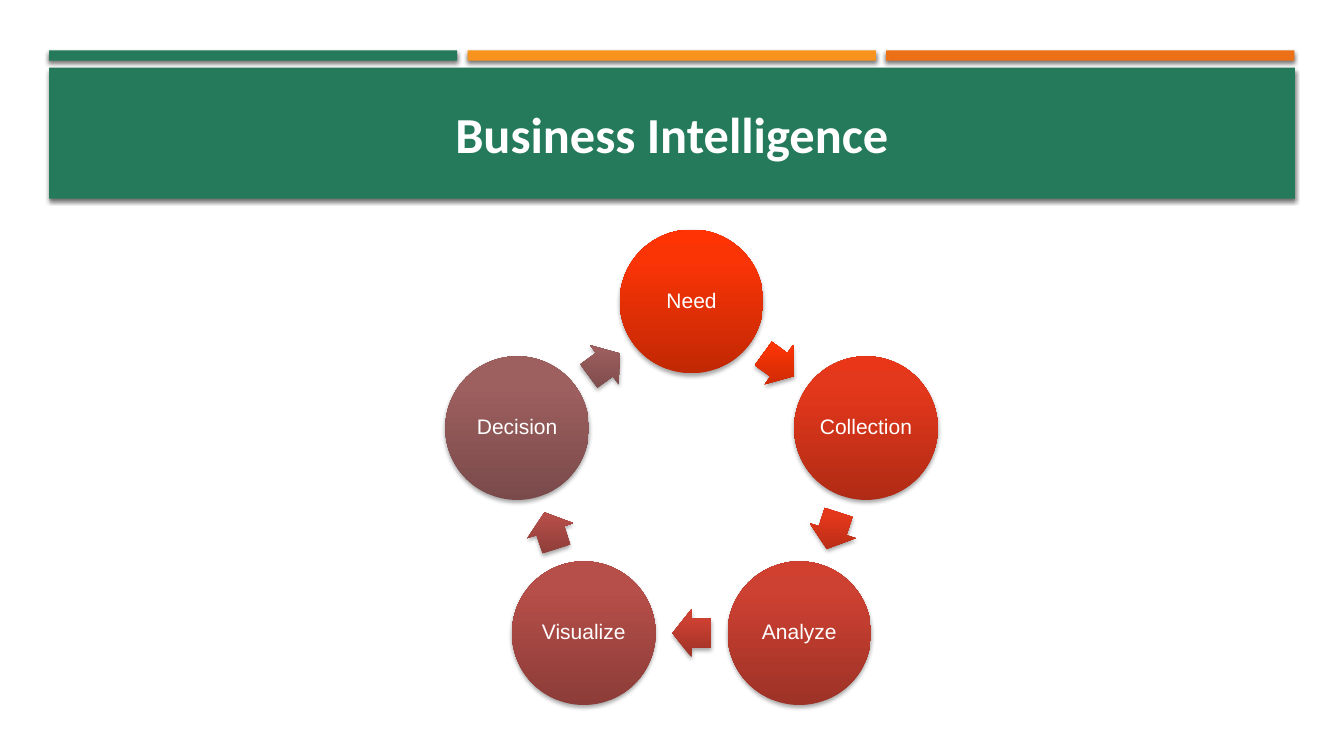
from math import cos, radians, sin

from pptx import Presentation
from pptx.dml.color import RGBColor
from pptx.enum.shapes import MSO_SHAPE
from pptx.enum.text import MSO_ANCHOR, MSO_AUTO_SIZE, PP_ALIGN
from pptx.oxml import parse_xml
from pptx.oxml.ns import nsdecls, qn
from pptx.util import Pt

RECT, OVAL, ARROW = MSO_SHAPE.RECTANGLE, MSO_SHAPE.OVAL, MSO_SHAPE.RIGHT_ARROW
MIDDLE, CENTER, NO_FIT = MSO_ANCHOR.MIDDLE, PP_ALIGN.CENTER, MSO_AUTO_SIZE.NONE

GREEN = RGBColor(0x24, 0x7A, 0x5B)
AMBER = RGBColor(0xF8, 0x93, 0x1D)
ORANGE = RGBColor(0xEC, 0x70, 0x16)
WHITE = RGBColor(0xFF, 0xFF, 0xFF)

STEPS = [
    ("Need", (RGBColor(0xC1, 0x28, 0x04), RGBColor(0xFB, 0x34, 0x06), RGBColor(0xFF, 0x33, 0x03))),
    ("Collection", (RGBColor(0xB0, 0x2B, 0x15), RGBColor(0xE4, 0x38, 0x1C), RGBColor(0xE9, 0x36, 0x18))),
    ("Analyze", (RGBColor(0x9E, 0x32, 0x27), RGBColor(0xCD, 0x41, 0x32), RGBColor(0xD1, 0x3F, 0x2F))),
    ("Visualize", (RGBColor(0x8C, 0x3C, 0x38), RGBColor(0xB6, 0x4E, 0x49), RGBColor(0xB9, 0x4C, 0x47))),
    ("Decision", (RGBColor(0x7A, 0x4A, 0x4A), RGBColor(0x9E, 0x5F, 0x5F), RGBColor(0xA0, 0x5F, 0x5F))),
]
STOPS = (0, 80, 100)

CENTER_X, CENTER_Y, RADIUS = 494, 346.3, 131
DIAMETER = 102.6
ARROW_W, ARROW_H = 27.4, 34.6
BAR_LEFT, BAR_WIDTH, BAR_PITCH = 35, 291.6, 299


def write_text(s, text, font="Arial", size=15, bold=False, margin=0, line_spacing=1):
    tf = s.text_frame
    tf.word_wrap = True
    tf.auto_size = NO_FIT
    tf.vertical_anchor = MIDDLE
    tf.margin_left = tf.margin_right = tf.margin_top = tf.margin_bottom = Pt(margin)
    p = tf.paragraphs[0]
    p.alignment = CENTER
    p.line_spacing = line_spacing
    r = p.add_run()
    r.text = text
    r.font.name = font
    r.font.size = Pt(size)
    r.font.bold = bold
    r.font.color.rgb = WHITE


def add_shadow(s, alpha, blur, dist):
    s.shadow.inherit = False
    effects = s._element.spPr.find(qn("a:effectLst"))
    effects.append(parse_xml(
        f'<a:outerShdw {nsdecls("a")} blurRad="{Pt(blur)}" dist="{Pt(dist)}" '
        f'dir="5400000" rotWithShape="0"><a:srgbClr val="000000">'
        f'<a:alpha val="{alpha * 1000}"/></a:srgbClr></a:outerShdw>'))


def fill_gradient(s, colors):
    s.fill.gradient()
    stops = "".join(
        f'<a:gs pos="{pos * 1000}"><a:srgbClr val="{color}"/></a:gs>'
        for pos, color in zip(STOPS, colors))
    spPr = s._element.spPr
    spPr.replace(spPr.find(qn("a:gradFill")), parse_xml(
        f'<a:gradFill {nsdecls("a")} rotWithShape="0"><a:gsLst>{stops}</a:gsLst>'
        f'<a:lin ang="16200000" scaled="0"/></a:gradFill>'))


def add_bar(slide, left, top, width, height, color):
    s = slide.shapes.add_shape(RECT, Pt(left), Pt(top), Pt(width), Pt(height))
    s.fill.solid()
    s.fill.fore_color.rgb = color
    s.line.fill.background()
    add_shadow(s, 55, 3, 2)


def add_cycle_shape(slide, kind, x, y, width, height, colors):
    s = slide.shapes.add_shape(
        kind, Pt(x - width / 2), Pt(y - height / 2), Pt(width), Pt(height))
    fill_gradient(s, colors)
    s.line.fill.background()
    add_shadow(s, 35, 3.1, 1.8)
    return s


def ring_point(angle, radius):
    return CENTER_X + radius * sin(radians(angle)), CENTER_Y - radius * cos(radians(angle))


def add_cycle(slide):
    turn = 360 / len(STEPS)
    for i, (label, colors) in enumerate(STEPS):
        x, y = ring_point(i * turn, RADIUS)
        circle = add_cycle_shape(slide, OVAL, x, y, DIAMETER, DIAMETER, colors)
        write_text(circle, label, margin=1.5, line_spacing=0.9)
        middle = (i + 0.5) * turn
        x, y = ring_point(middle, RADIUS * cos(radians(turn / 2)))
        arrow = add_cycle_shape(slide, ARROW, x, y, ARROW_W, ARROW_H, colors)
        arrow.adjustments[0] = 0.6
        arrow.adjustments[1] = 0.5
        arrow.rotation = middle


def add_title(slide, text):
    title = slide.shapes.title
    title.left, title.top, title.width, title.height = Pt(46), Pt(55.5), Pt(868), Pt(80)
    write_text(title, text, font="Calibri", size=36, bold=True)
    slide.shapes._spTree.append(title._element)


def main():
    prs = Presentation()
    prs.slide_width, prs.slide_height = Pt(960), Pt(540)
    slide = prs.slides.add_slide(prs.slide_layouts[5])
    for i, color in enumerate((GREEN, AMBER, ORANGE)):
        add_bar(slide, BAR_LEFT + i * BAR_PITCH, 36, BAR_WIDTH, 7.4, color)
    add_bar(slide, BAR_LEFT, 48.4, 890, 93.6, GREEN)
    add_title(slide, "Business Intelligence")
    add_cycle(slide)
    prs.save("out.pptx")


if __name__ == "__main__":
    main()
